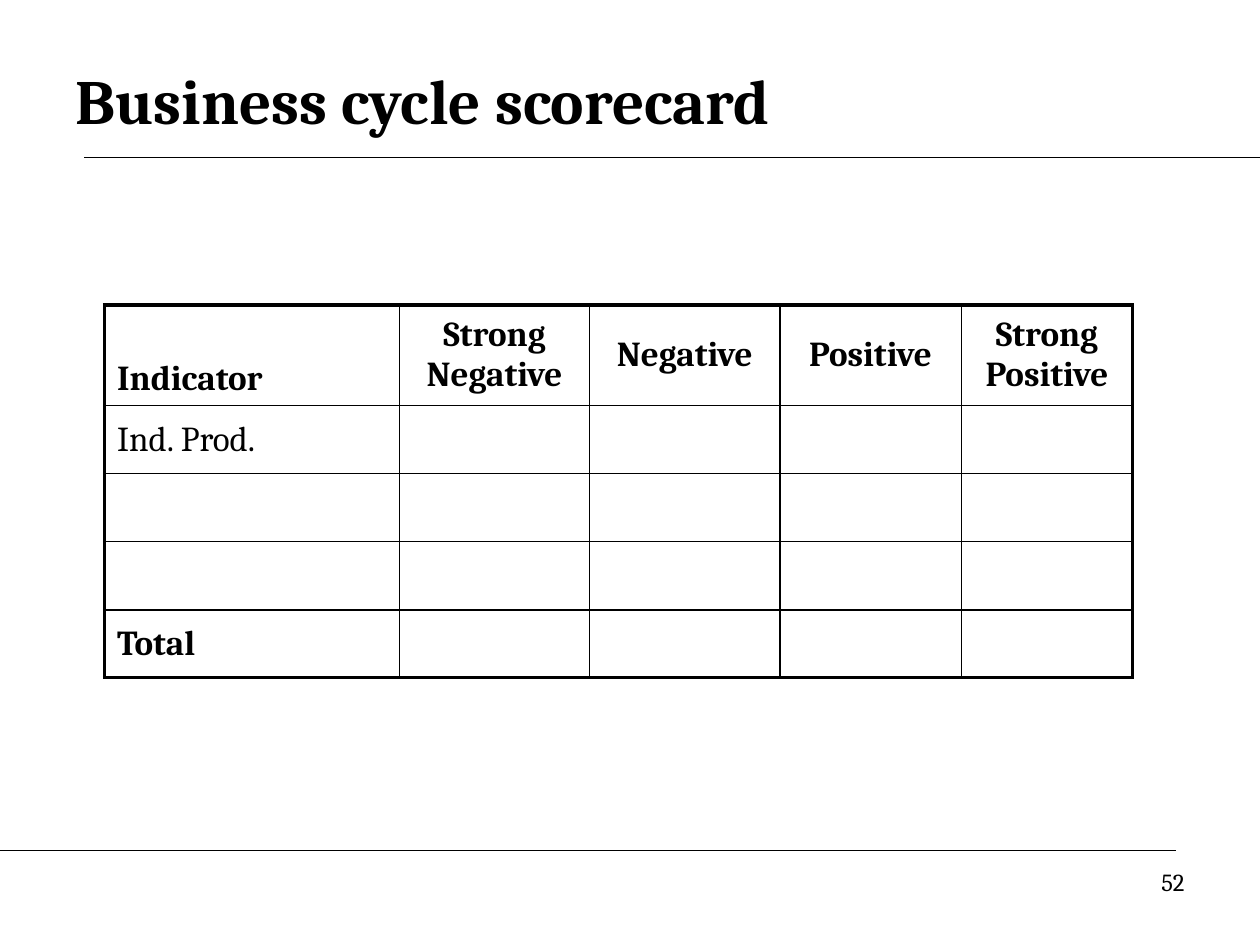
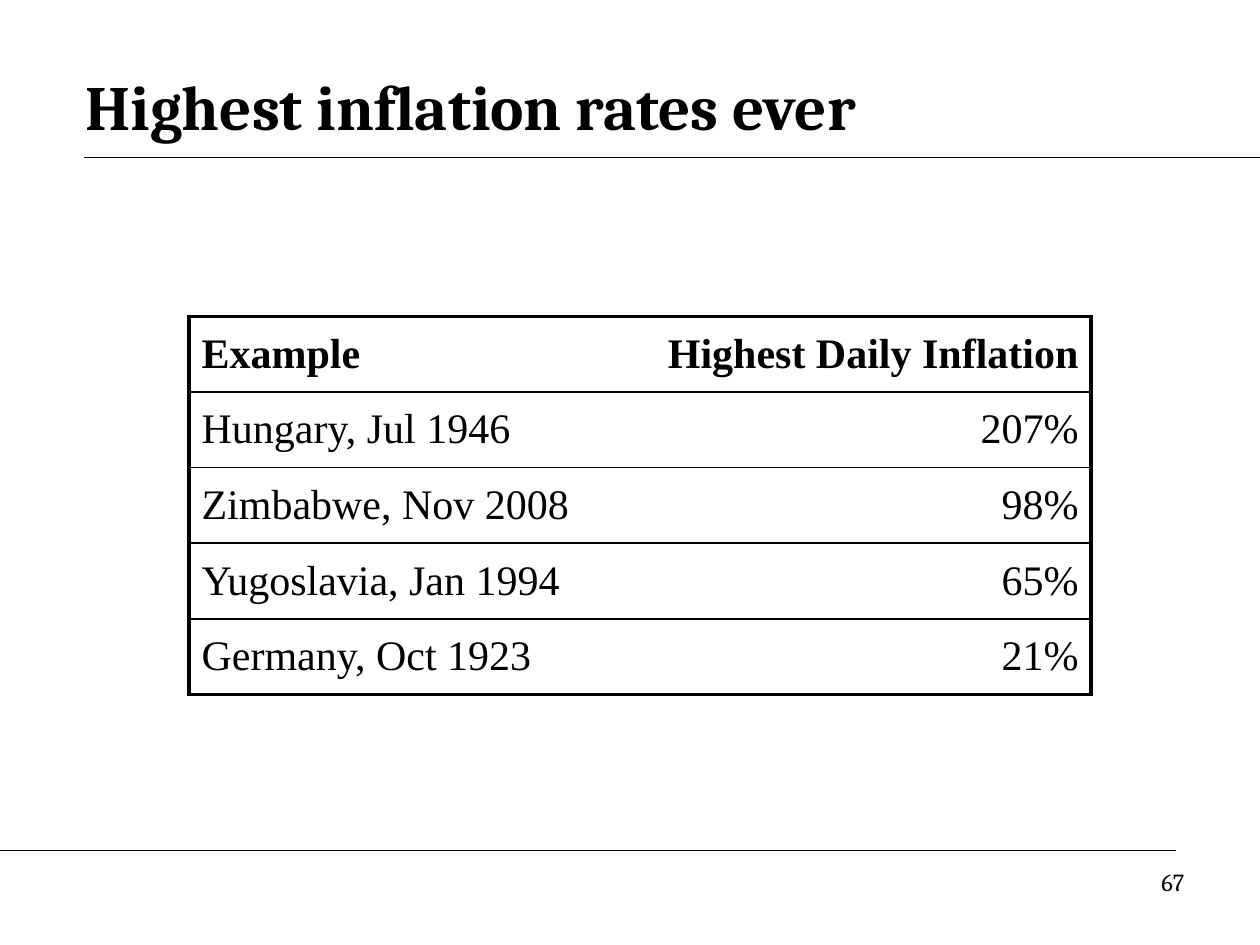
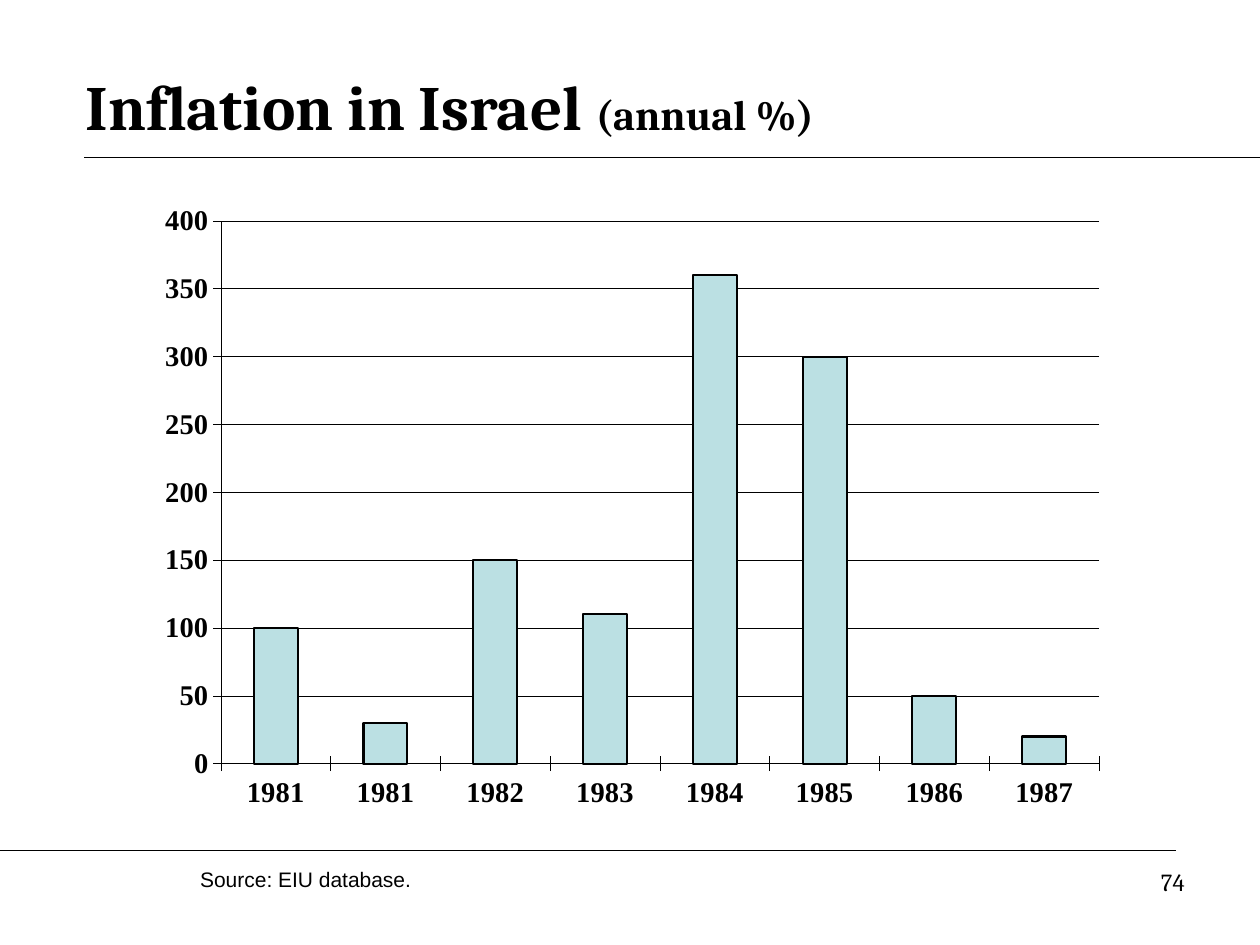
from pptx import Presentation
from pptx.chart.data import CategoryChartData
from pptx.dml.color import RGBColor
from pptx.enum.chart import XL_CHART_TYPE, XL_TICK_LABEL_POSITION, XL_TICK_MARK
from pptx.enum.shapes import MSO_CONNECTOR
from pptx.enum.text import MSO_ANCHOR, MSO_AUTO_SIZE, PP_ALIGN
from pptx.oxml import parse_xml
from pptx.oxml.ns import nsdecls, qn
from pptx.util import Inches, Pt

LEFT, CENTER, RIGHT = PP_ALIGN.LEFT, PP_ALIGN.CENTER, PP_ALIGN.RIGHT
MIDDLE, BOTTOM = MSO_ANCHOR.MIDDLE, MSO_ANCHOR.BOTTOM
NO_FIT = MSO_AUTO_SIZE.NONE
STRAIGHT = MSO_CONNECTOR.STRAIGHT
COLUMNS = XL_CHART_TYPE.COLUMN_CLUSTERED
CROSS, NO_TICK = XL_TICK_MARK.CROSS, XL_TICK_MARK.NONE
LOW = XL_TICK_LABEL_POSITION.LOW

BLACK = "000000"
BAR_FILL = "BBE0E3"
HEADING_FONT, TABLE_FONT, NOTE_FONT = "Cambria", "Times New Roman", "Arial"
TITLE_ONLY = 5
OUTER_BORDER, INNER_BORDER = 2.25, 1


def color(value):
    """Turn a hex string into a colour."""
    return RGBColor.from_string(value)


class Lecture:
    """Hold the lecture style and the current slide."""

    def __init__(self):
        """Start an empty deck."""
        self.deck = Presentation()
        self.deck.slide_width, self.deck.slide_height = Inches(10), Inches(7.5)
        self.page = None

    def style(self, font, size, name=HEADING_FONT, bold=False):
        """Format a font in the lecture's black."""
        font.name, font.size, font.bold = name, Pt(size), bold
        font.color.rgb = color(BLACK)

    def span(self, para, text, size, name=HEADING_FONT, bold=False):
        """Add one run to a paragraph."""
        span = para.add_run()
        span.text = text
        self.style(span.font, size, name, bold)

    def new_page(self, number, title, place):
        """Add a slide with its title, rules and page number."""
        self.page = self.deck.slides.add_slide(self.deck.slide_layouts[TITLE_ONLY])
        self.rule(0.67, 10, 1.25)
        self.rule(0, 9.33, 6.75)
        box = self.page.shapes.title
        box.left, box.top, box.width, box.height = map(Inches, place)
        frame = box.text_frame
        frame.auto_size, frame.vertical_anchor = NO_FIT, MIDDLE
        para = frame.paragraphs[0]
        para.alignment = LEFT
        for text, size in title:
            self.span(para, text, size, bold=True)
        self.text(str(number), (7.17, 6.83, 2.33, 0.52), 14, HEADING_FONT, RIGHT)

    def rule(self, start, end, height):
        """Draw a thin horizontal line."""
        line = self.page.shapes.add_connector(
            STRAIGHT, Inches(start), Inches(height), Inches(end), Inches(height))
        line.line.color.rgb = color(BLACK)
        line.line.width = Pt(0.75)
        line._element.spPr.append(parse_xml(f'<a:effectLst {nsdecls("a")}/>'))

    def short_rules(self):
        """Draw the second pair of rules over the shared ones."""
        self.rule(1.25, 10, 1.25)
        self.rule(0, 7.08, 6.75)

    def text(self, text, place, size, name, alignment=LEFT):
        """Add a text box with one line."""
        box = self.page.shapes.add_textbox(*map(Inches, place))
        box.text_frame.word_wrap = True
        para = box.text_frame.paragraphs[0]
        para.alignment = alignment
        self.span(para, text, size, name)

    def borders(self, cell, widths):
        """Set the left, right, top and bottom borders; zero hides one."""
        properties = cell._tc.get_or_add_tcPr()
        for index, (side, width) in enumerate(zip("LRTB", widths)):
            paint = (f'<a:solidFill><a:srgbClr val="{BLACK}"/></a:solidFill>'
                     if width else "<a:noFill/>")
            properties.insert(index, parse_xml(
                f'<a:ln{side} {nsdecls("a")} w="{Pt(width)}">{paint}</a:ln{side}>'))

    def table(self, corner, widths, heights, rows, size, name, layout, bold_rows,
              vertical=INNER_BORDER, padding=0.05):
        """Add a framed table; layout gives alignment and anchor of a cell."""
        place = (*corner, sum(widths), sum(heights))
        grid = self.page.shapes.add_table(
            len(heights), len(widths), *map(Inches, place)).table
        grid.first_row = grid.horz_banding = False
        for column, width in zip(grid.columns, widths):
            column.width = Inches(width)
        for row, height in zip(grid.rows, heights):
            row.height = Inches(height)
        last_row, last_column = len(heights) - 1, len(widths) - 1
        for r, texts in enumerate(rows):
            for c in range(len(widths)):
                cell = grid.cell(r, c)
                cell.fill.background()
                cell.margin_top = cell.margin_bottom = Inches(padding)
                para = cell.text_frame.paragraphs[0]
                para.alignment, cell.vertical_anchor = layout(r, c)
                if c < len(texts):
                    self.span(para, texts[c], size, name, r in bold_rows)
                self.borders(cell, (
                    vertical if c else OUTER_BORDER,
                    vertical if c < last_column else OUTER_BORDER,
                    INNER_BORDER if r else OUTER_BORDER,
                    INNER_BORDER if r < last_row else OUTER_BORDER))

    def column_chart(self, place, plot_area, categories, values, top, step):
        """Add a column chart with a fixed plot area."""
        data = CategoryChartData()
        data.categories = categories
        data.add_series("Series 1", values)
        chart = self.page.shapes.add_chart(COLUMNS, *map(Inches, place), data).chart
        chart.has_legend = chart.has_title = False
        self.style(chart.font, 16.3, TABLE_FONT, True)
        plot = chart.plots[0]
        plot.vary_by_categories = False
        plot.gap_width = 150
        bars = plot.series[0].format
        bars.fill.solid()
        bars.fill.fore_color.rgb = color(BAR_FILL)
        bars.line.color.rgb = color(BLACK)
        bars.line.width = Pt(1.17)
        scale = chart.value_axis
        scale.minimum_scale, scale.maximum_scale, scale.major_unit = 0, top, step
        scale.has_major_gridlines = True
        scale.tick_labels.number_format = "0"
        scale.tick_labels.number_format_is_linked = False
        chart.category_axis.tick_label_position = LOW
        for axis in (chart.category_axis, scale):
            axis.major_tick_mark = CROSS
            axis.minor_tick_mark = NO_TICK
            self.style(axis.tick_labels.font, 16.3, TABLE_FONT, True)
        for part in (chart.category_axis, scale, scale.major_gridlines):
            part.format.line.color.rgb = color(BLACK)
            part.format.line.width = Pt(0.29)
        area = chart.element.find(".//" + qn("c:plotArea"))
        for old in area.findall(qn("c:layout")):
            area.remove(old)
        sizes = "".join(f'<c:{key} val="{value}"/>'
                        for key, value in zip("xywh", plot_area))
        area.insert(0, parse_xml(
            f'<c:layout {nsdecls("c")}><c:manualLayout><c:layoutTarget val="inner"/>'
            f'<c:xMode val="edge"/><c:yMode val="edge"/>{sizes}'
            '</c:manualLayout></c:layout>'))


def scorecard_layout(row, column):
    """Align the scorecard's cells."""
    if row == 0:
        return (CENTER, MIDDLE) if column else (LEFT, BOTTOM)
    return LEFT, MIDDLE


def rates_layout(row, column):
    """Align names left and rates right."""
    return (RIGHT if column else LEFT), MIDDLE


def main():
    """Build the three slides."""
    lecture = Lecture()
    title_place = (0.58, 0.42, 8.67, 0.83)

    lecture.new_page(52, [("Business cycle scorecard", 36)], (0.5, 0.33, 9, 0.92))
    scorecard = [
        ["Indicator", "Strong Negative", "Negative", "Positive", "Strong Positive"],
        ["Ind. Prod."], [], [], ["Total"]]
    lecture.table((0.83, 2.42), [2.34, 1.51, 1.51, 1.44, 1.36], [0.8] + [0.54] * 4,
                  scorecard, 20, HEADING_FONT, scorecard_layout, (0, 4))

    lecture.new_page(67, [("Highest inflation rates ever", 36)], title_place)
    lecture.short_rules()
    rates = [
        ["Example", "Highest Daily Inflation"],
        ["Hungary, Jul 1946", "207%"],
        ["Zimbabwe, Nov 2008", "98%"],
        ["Yugoslavia, Jan 1994", "65%"],
        ["Germany, Oct 1923", "21%"]]
    lecture.table((1.5, 2.51), [3.58] * 2, [0.58] * 5, rates, 24, TABLE_FONT,
                  rates_layout, (0,), vertical=0, padding=0.1)

    lecture.new_page(74, [("Inflation in Israel ", 36), ("(annual %)", 24)], title_place)
    lecture.short_rules()
    years = ["1981", "1981", "1982", "1983", "1984", "1985", "1986", "1987"]
    inflation = [100, 30, 150, 110, 360, 300, 50, 20]
    lecture.column_chart((1.14, 1.55, 7.66, 5.07), (0.08, 0.04, 0.91, 0.85),
                         years, inflation, 400, 50)
    lecture.text("Source: EIU database.", (1.49, 6.83, 2.93, 0.3), 12, NOTE_FONT)

    lecture.deck.save("out.pptx")


if __name__ == "__main__":
    main()
